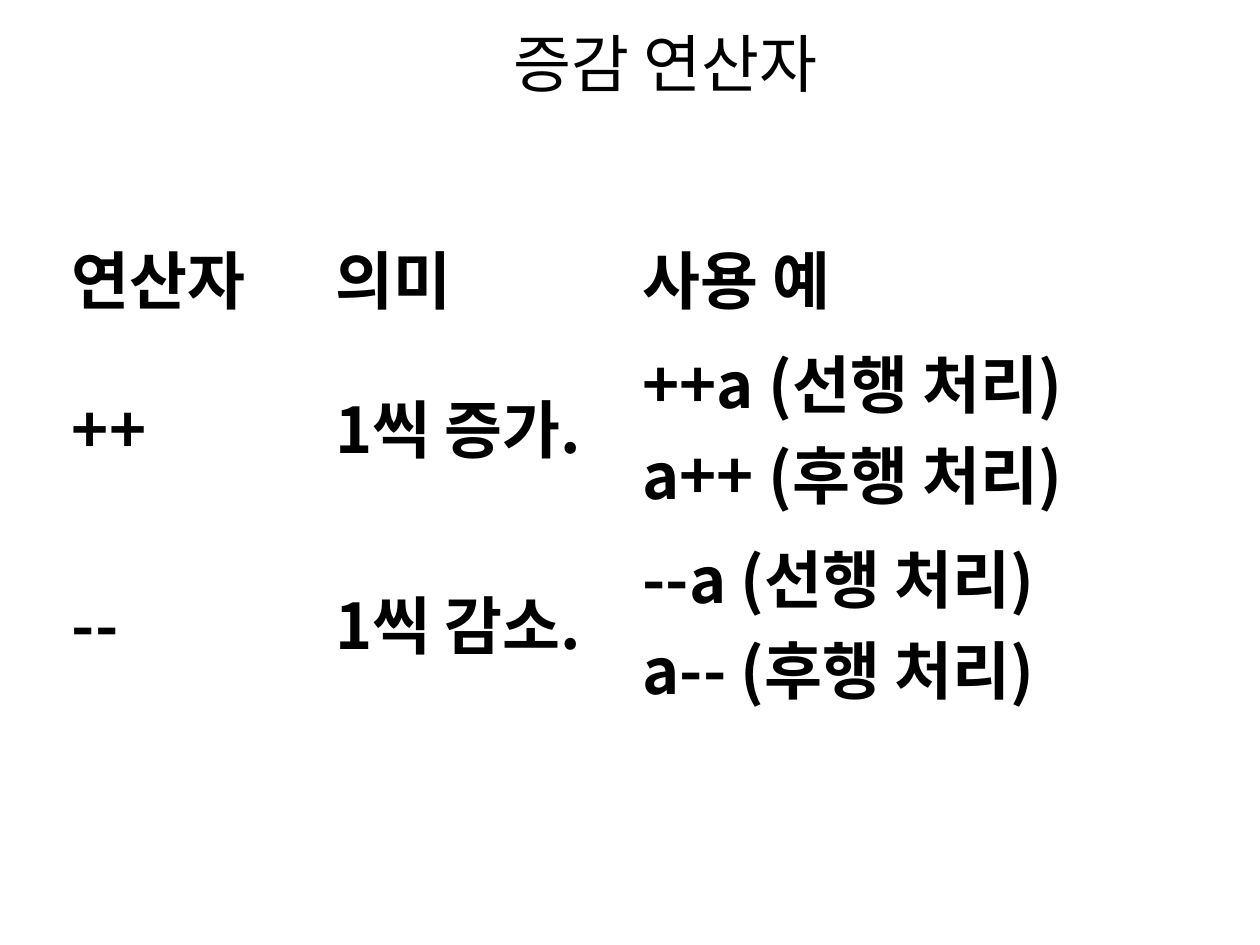
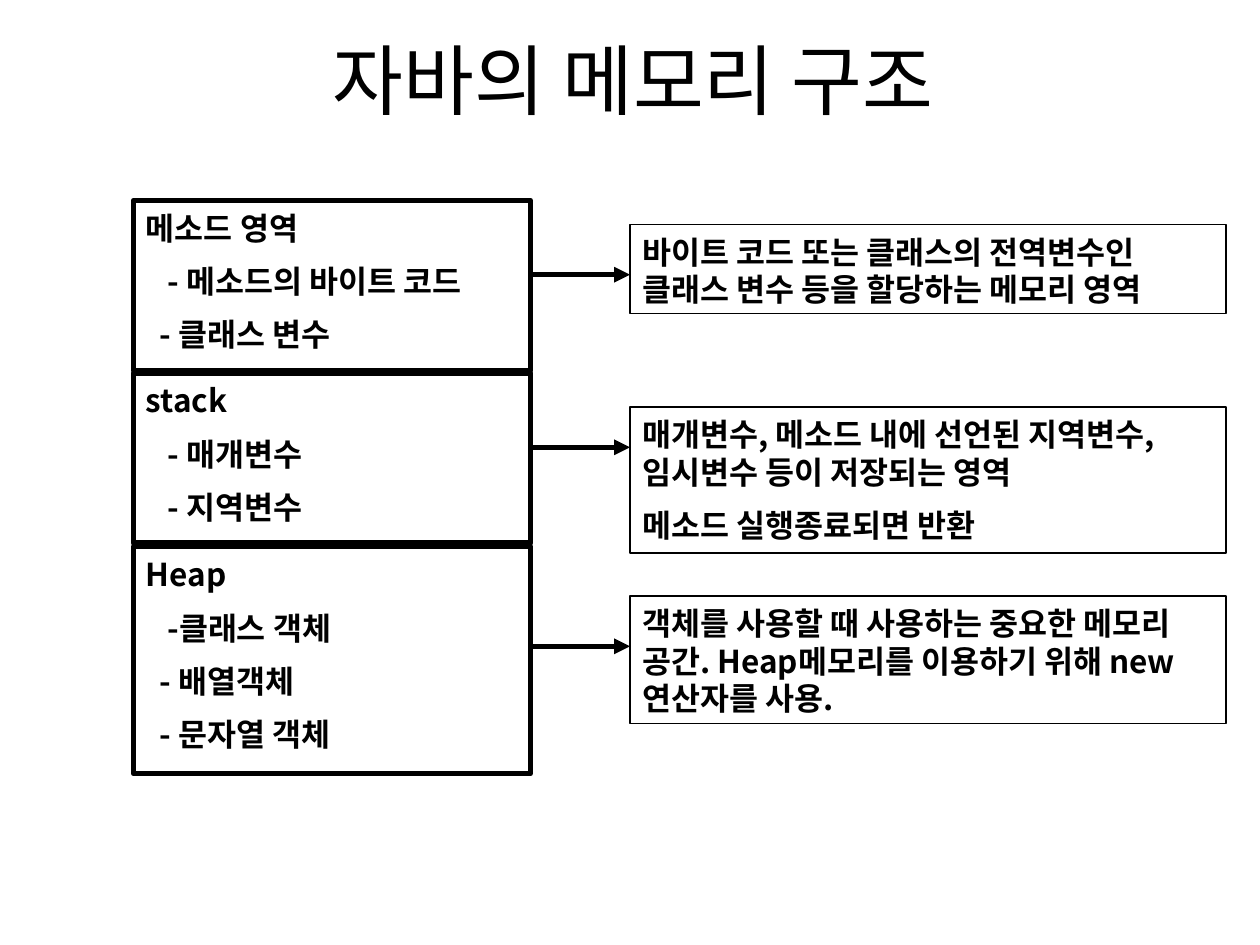
from lxml import etree
from pptx import Presentation
from pptx.dml.color import RGBColor
from pptx.enum import shapes, text
from pptx.oxml.ns import qn
from pptx.util import Inches, Pt

COLORS = {"ink": "000000", "paper": "FFFFFF"}
SANS = "Noto Sans CJK KR"
SERIF = "Times New Roman"

OPERATORS = [
    ("연산자", "의미", "사용 예"),
    ("++", "1씩 증가.", "++a (선행 처리)\na++ (후행 처리)"),
    ("--", "1씩 감소.", "--a (선행 처리)\na-- (후행 처리)"),
]

# Each area: top, height, arrow height, heading, items as (indent, wording),
# then top, height and paragraphs of its explanation.
MEMORY_AREAS = [
    (1.59, 1.35, 2.18, "메소드 영역",
     [(0.17, "- 메소드의 바이트 코드"), (0.11, "- 클래스 변수")],
     1.78, 0.71,
     ["바이트 코드 또는 클래스의 전역변수인 클래스 변수 등을 할당하는 메모리 영역"]),
    (2.96, 1.35, 3.55, "stack",
     [(0.17, "- 매개변수"), (0.17, "- 지역변수")],
     3.23, 1.16,
     ["매개변수, 메소드 내에 선언된 지역변수, 임시변수 등이 저장되는 영역",
      "메소드 실행종료되면 반환"]),
    (4.34, 1.8, 5.13, "Heap",
     [(0.17, "-클래스 객체"), (0.11, "- 배열객체"), (0.11, "- 문자열 객체")],
     4.73, 1.01,
     ["객체를 사용할 때 사용하는 중요한 메모리 공간. "
      "Heap메모리를 이용하기 위해 new연산자를 사용."]),
]


def color(name):
    return RGBColor.from_string(COLORS[name])


def style_runs(para, size, bold=False, latin=SANS):
    for span in para.runs:
        span.font.size = Pt(size)
        span.font.bold = bold
        span.font.name = latin
        span.font.color.rgb = color("ink")
        east_asian = etree.SubElement(span.font._element, qn("a:ea"))
        east_asian.set("typeface", SANS)


def add_title(page, wording, left, width, height, size, latin=SANS):
    box = page.shapes.add_textbox(Inches(left), 0, Inches(width), Inches(height))
    frame = box.text_frame
    frame.word_wrap = True
    frame.vertical_anchor = text.MSO_ANCHOR.MIDDLE
    frame.text = wording
    para = frame.paragraphs[0]
    para.alignment = text.PP_ALIGN.CENTER
    style_runs(para, size, latin=latin)


def add_operator_table(page, left, top, widths, heights):
    table = page.shapes.add_table(
        len(heights), len(widths), Inches(left), Inches(top),
        Inches(sum(widths)), Inches(sum(heights))).table
    table.first_row = False
    table.horz_banding = False
    for column, width in zip(table.columns, widths):
        column.width = Inches(width)
    for row, height, wordings in zip(table.rows, heights, OPERATORS):
        row.height = Inches(height)
        for cell, wording in zip(row.cells, wordings):
            cell.fill.background()
            cell.vertical_anchor = text.MSO_ANCHOR.MIDDLE
            cell.text_frame.text = wording
            for para in cell.text_frame.paragraphs:
                para.alignment = text.PP_ALIGN.JUSTIFY
                style_runs(para, 36, bold=True)


def add_text_frame_box(page, left, top, width, height, border, lines):
    """Draw an outlined box holding lines given as (indent, wording)."""
    box = page.shapes.add_shape(
        shapes.MSO_SHAPE.RECTANGLE, Inches(left), Inches(top),
        Inches(width), Inches(height))
    box.shadow.inherit = False
    box.fill.background()
    box.line.color.rgb = color("ink")
    box.line.width = Pt(border)
    frame = box.text_frame
    frame.word_wrap = True
    frame.vertical_anchor = text.MSO_ANCHOR.TOP
    frame.margin_top = Inches(0.07)
    frame.text = "\n".join(wording for _, wording in lines)
    for number, (para, (indent, _)) in enumerate(zip(frame.paragraphs, lines)):
        para.alignment = text.PP_ALIGN.LEFT
        para.line_spacing = Pt(21.4)
        if number:
            para.space_before = Pt(9)
        if indent:
            para._p.get_or_add_pPr().set("marL", str(Inches(indent)))
        style_runs(para, 18, bold=True)


def add_arrow(page, start, end, y):
    arrow = page.shapes.add_connector(
        shapes.MSO_CONNECTOR.STRAIGHT, Inches(start), Inches(y), Inches(end), Inches(y))
    arrow.line.color.rgb = color("ink")
    arrow.line.width = Pt(3)
    head = etree.SubElement(arrow.line._get_or_add_ln(), qn("a:tailEnd"))
    head.set("type", "triangle")
    etree.SubElement(arrow._element.spPr, qn("a:effectLst"))


def add_memory_diagram(page, left, area_width, note_left, note_width):
    for (top, height, arrow_y, heading, items,
         note_top, note_height, notes) in MEMORY_AREAS:
        add_text_frame_box(page, left, top, area_width, height, 3,
                           [(0, heading)] + items)
        add_arrow(page, left + area_width, note_left, arrow_y)
        add_text_frame_box(page, note_left, note_top, note_width, note_height, 0.75,
                           [(0, note) for note in notes])


def add_page(deck):
    page = deck.slides.add_slide(deck.slide_layouts[6])
    page.background.fill.solid()
    page.background.fill.fore_color.rgb = color("paper")
    return page


def main():
    deck = Presentation()
    deck.slide_width = Inches(10)
    deck.slide_height = Inches(7.5)

    operators = add_page(deck)
    add_title(operators, "증감 연산자 ", 0.67, 9.33, 0.99, 36)
    add_operator_table(operators, 0.47, 1.78, [2.09, 2.44, 4.53], [0.83, 1.55, 1.55])

    memory = add_page(deck)
    add_title(memory, "자바의 메모리 구조 ", 0.47, 9.25, 1.25, 44, SERIF)
    add_memory_diagram(memory, 1.06, 3.15, 5, 4.73)

    deck.save("out.pptx")


if __name__ == "__main__":
    main()
